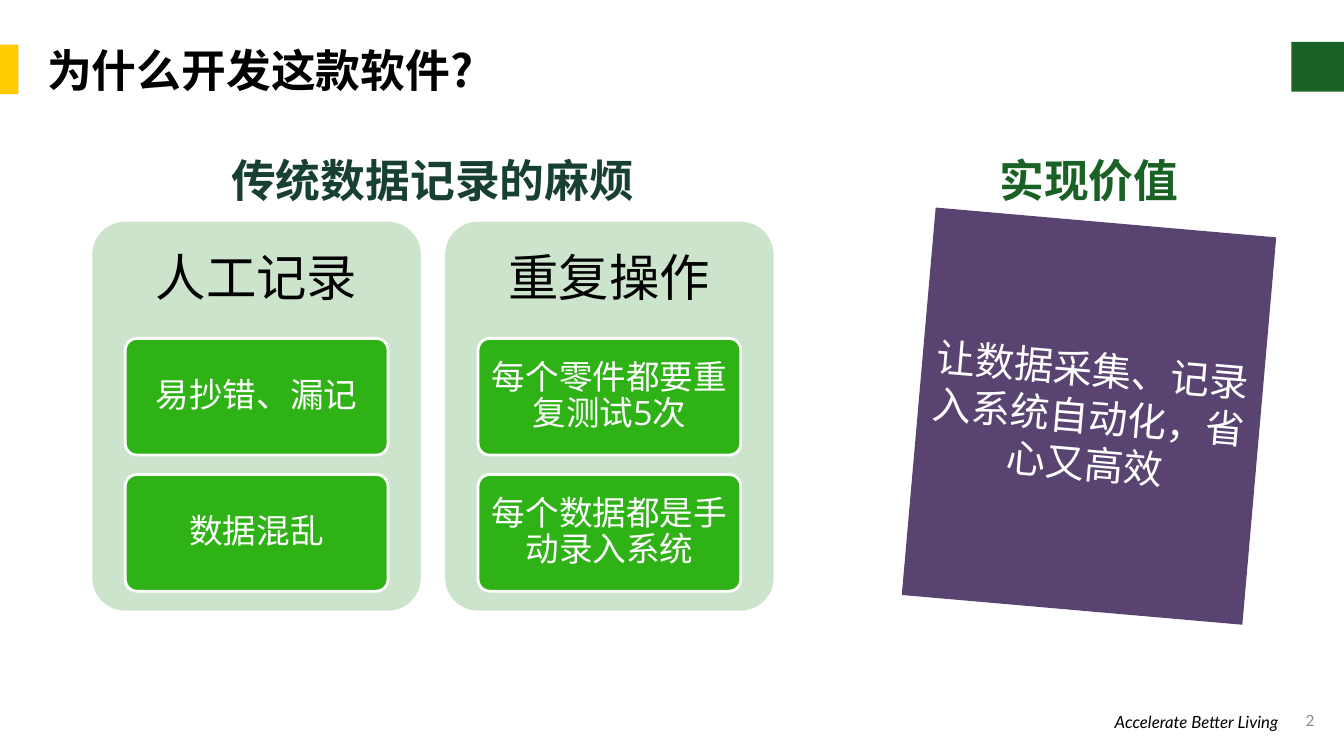
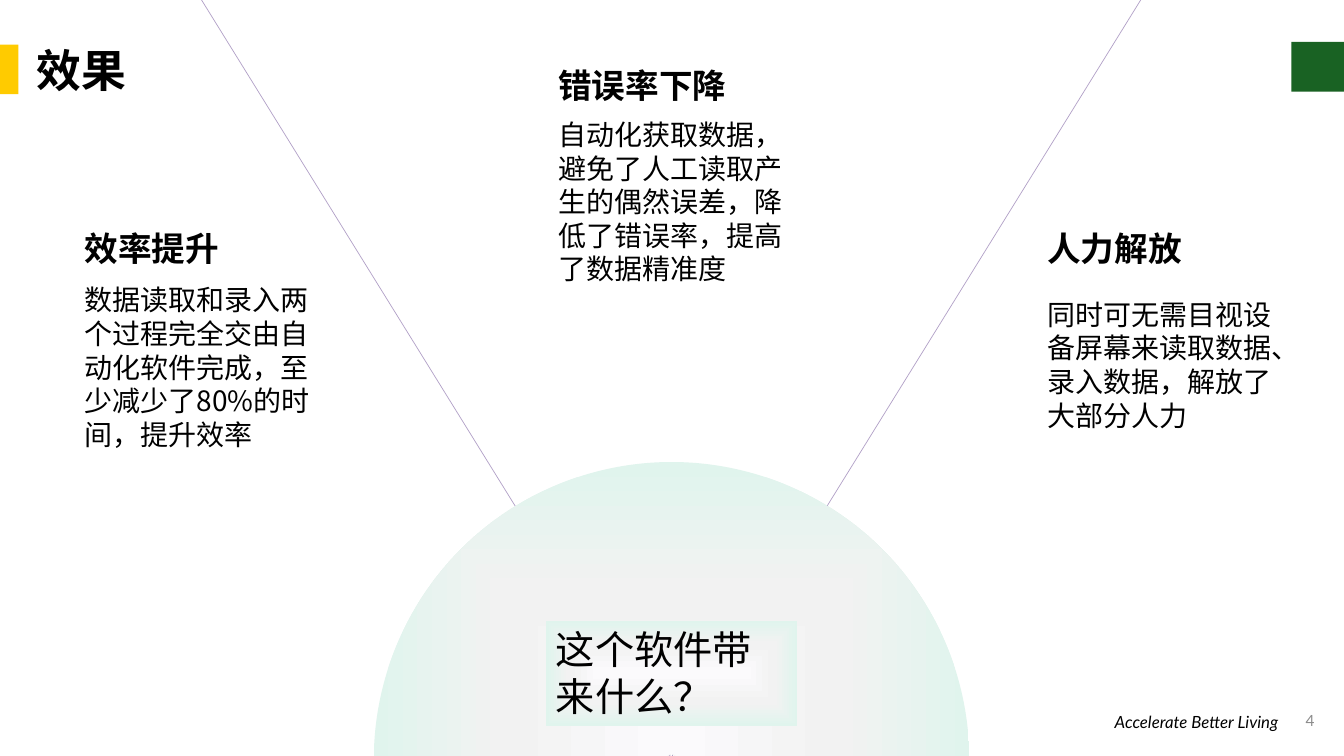
from dataclasses import dataclass
from typing import NamedTuple

from pptx import Presentation
from pptx.dml.color import RGBColor
from pptx.enum.lang import MSO_LANGUAGE_ID
from pptx.enum.shapes import MSO_SHAPE
from pptx.enum.text import MSO_ANCHOR, MSO_AUTO_SIZE, PP_ALIGN
from pptx.oxml import parse_xml
from pptx.oxml.ns import nsdecls, qn
from pptx.util import Inches, Pt

COLS, ROWS = 160, 90
CELL = 1 / 12


@dataclass(frozen=True)
class Theme:
    black: str = "000000"
    white: str = "FFFFFF"
    gold: str = "FFCB00"
    green: str = "196223"
    dark: str = "174033"
    pale: str = "CDE4CC"
    leaf: str = "2EB216"
    plum: str = "584371"
    lilac: str = "B2A1C7"
    grey: str = "8C8C8C"
    glow: tuple = ((0, "FBFAFC"), (56, "F2F2F2"), (100, "E0F4ED"))
    cjk: str = "Noto Sans CJK SC"
    sans: str = "Open Sans"
    foot: str = "Lato"
    title: int = 32
    card: int = 36
    quote: int = 28
    head: int = 24
    body: int = 20
    small: int = 12
    page: int = 11


T = Theme()


class Box(NamedTuple):
    x: float
    y: float
    w: float
    h: float

    def lengths(self) -> list:
        return [Inches(n * CELL) for n in self]


class Style(NamedTuple):
    size: int
    color: str = T.black
    face: str = T.cjk
    bold: bool = False
    slant: bool = False
    align: PP_ALIGN = PP_ALIGN.LEFT
    anchor: MSO_ANCHOR = MSO_ANCHOR.TOP
    pad: tuple = (0.1, 0.05)
    space: float = 1.0


class Card(NamedTuple):
    name: str
    chips: tuple


class Block(NamedTuple):
    x: float
    top: float
    low: float
    head: str
    body: str


MID = dict(align=PP_ALIGN.CENTER, anchor=MSO_ANCHOR.MIDDLE)
RIGHT = dict(face=T.foot, align=PP_ALIGN.RIGHT, anchor=MSO_ANCHOR.MIDDLE, pad=(0, 0))
TITLE = Style(T.title, bold=True, anchor=MSO_ANCHOR.MIDDLE, pad=(0, 0.07))
PAGE = Style(T.page, T.grey, **RIGHT)
SLOGAN = Style(T.small, slant=True, **RIGHT)
NAME = Style(T.card, face=T.sans, pad=(0.15, 0.15), space=0.9, **MID)
CHIP = Style(T.head, T.white, T.sans, pad=(0.07, 0.05), space=0.9, **MID)
QUOTE = Style(T.quote, T.white, **MID)
ASK = Style(T.quote)
HEAD = Style(T.head, bold=True)
BODY = Style(T.body)

CARDS = (
    Card("人工记录", ("易抄错、漏记", "数据混乱")),
    Card("重复操作", ("每个零件都要重复测试5次", "每个数据都是手动录入系统")),
)
BLOCKS = (
    Block(8.9, 26.6, 33.1, "效率提升",
          "数据读取和录入两个过程完全交由自动化软件完成，至少减少了80%的时间，提升效率"),
    Block(65.3, 7.1, 13.4, "错误率下降",
          "自动化获取数据，避免了人工读取产生的偶然误差，降低了错误率，提高了数据精准度"),
    Block(123.5, 26.6, 34.8, "人力解放",
          "同时可无需目视设备屏幕来读取数据、录入数据，解放了大部分人力"),
)


def write(shape, text: str, style: Style) -> None:
    frame = shape.text_frame
    frame.text = text
    frame.word_wrap = True
    frame.auto_size = MSO_AUTO_SIZE.NONE
    frame.vertical_anchor = style.anchor
    frame.margin_left = frame.margin_right = Inches(style.pad[0])
    frame.margin_top = frame.margin_bottom = Inches(style.pad[1])
    para = frame.paragraphs[0]
    para.alignment = style.align
    para.line_spacing = style.space
    font = para.font
    font.size = Pt(style.size)
    font.bold = style.bold
    font.italic = style.slant
    font.color.rgb = RGBColor.from_string(style.color)
    font.name = style.face
    font.language_id = MSO_LANGUAGE_ID.SIMPLIFIED_CHINESE
    props = para._p.get_or_add_pPr().find(qn("a:defRPr"))
    props.append(parse_xml(f'<a:ea {nsdecls("a")} typeface="{T.cjk}"/>'))


def label(slide, box: Box, text: str, style: Style) -> None:
    write(slide.shapes.add_textbox(*box.lengths()), text, style)


def draw(slide, kind: MSO_SHAPE, box: Box, fill: str = "", line: str = "",
         width: float = 1, bend: float | None = None):
    shape = slide.shapes.add_shape(kind, *box.lengths())
    shape.shadow.inherit = False
    if fill:
        shape.fill.solid()
        shape.fill.fore_color.rgb = RGBColor.from_string(fill)
    if line:
        shape.line.color.rgb = RGBColor.from_string(line)
        shape.line.width = Pt(width)
    else:
        shape.line.fill.background()
    if bend is not None:
        shape.adjustments[0] = bend
    return shape


def shade(shape) -> None:
    stops = "".join(
        f'<a:gs pos="{pos * 1000}"><a:srgbClr val="{color}"/></a:gs>'
        for pos, color in T.glow)
    fill = parse_xml(
        f'<a:gradFill {nsdecls("a")} rotWithShape="1"><a:gsLst>{stops}</a:gsLst>'
        '<a:path path="shape"><a:fillToRect l="50000" t="50000" r="50000" b="50000"/>'
        '</a:path></a:gradFill>')
    shape._element.spPr.find(qn("a:prstGeom")).addnext(fill)


def start(deck, title: str, left: float, page: int):
    slide = deck.slides.add_slide(deck.slide_layouts[5])
    draw(slide, MSO_SHAPE.RECTANGLE, Box(0, 5.3, 2.2, 5.9), T.gold)
    draw(slide, MSO_SHAPE.RECTANGLE, Box(COLS - 6.25, 5, 6.25, 5.9), T.green)
    label(slide, Box(119.2, 83.4, 37.3, 4.8), str(page), PAGE)
    label(slide, Box(112.1, 83.8, 40.1, 4.2), "Accelerate Better Living", SLOGAN)
    head = slide.shapes.title
    head.left, head.top, head.width, head.height = Box(left, 3.6, 120, 9.4).lengths()
    write(head, title, TITLE)
    return slide


def panel(slide, box: Box, card: Card) -> None:
    draw(slide, MSO_SHAPE.ROUNDED_RECTANGLE, box, T.pale, bend=0.1)
    row = 0.3 * box.h
    label(slide, Box(box.x, box.y, box.w, row), card.name, NAME)
    for i, text in enumerate(card.chips):
        spot = Box(box.x + 0.1 * box.w, box.y + row + i * 0.35 * box.h, 0.8 * box.w, row)
        chip = draw(slide, MSO_SHAPE.ROUNDED_RECTANGLE, spot, T.leaf, T.white, 2, 0.1)
        write(chip, text, CHIP)


def reasons(deck) -> None:
    slide = start(deck, "为什么开发这款软件?", 5.6, 2)
    top, tall, wide, step = 26.4, 46.3, 39.1, 42
    for i, card in enumerate(CARDS):
        panel(slide, Box(11 + i * step, top, wide, tall), card)
    value = Box(109.3, top, 40.7, tall)
    heads = (("传统数据记录的麻烦", 11, step + wide, T.dark),
             ("实现价值", value.x, value.w, T.green))
    for text, x, w, color in heads:
        style = Style(T.title, color, bold=True, align=PP_ALIGN.CENTER)
        label(slide, Box(x, 17.6, w, 7.7), text, style)
    note = draw(slide, MSO_SHAPE.RECTANGLE, value, T.plum)
    note.rotation = 5
    write(note, "让数据采集、记录入系统自动化，省心又高效", QUOTE)


def results(deck) -> None:
    slide = start(deck, "效果", 4.4, 4)
    fan = draw(slide, MSO_SHAPE.ISOSCELES_TRIANGLE, Box(20.9, -5, 118, 95.2),
               T.white, T.lilac, 0.5, 0.5)
    fan.rotation = 180
    shade(draw(slide, MSO_SHAPE.DONUT, Box(44.5, 55, 70.9, 70.9), bend=0.49))
    ask = draw(slide, MSO_SHAPE.RECTANGLE, Box(65, 73.9, 29.9, 12.5))
    shade(ask)
    write(ask, "这个软件带来什么？", ASK)
    for block in BLOCKS:
        label(slide, Box(block.x, block.top, 29.3, 6), block.head, HEAD)
        label(slide, Box(block.x, block.low, 29.3, 21.4), block.body, BODY)


def main() -> None:
    deck = Presentation()
    deck.slide_width = Inches(COLS * CELL)
    deck.slide_height = Inches(ROWS * CELL)
    reasons(deck)
    results(deck)
    deck.save("out.pptx")


if __name__ == "__main__":
    main()
